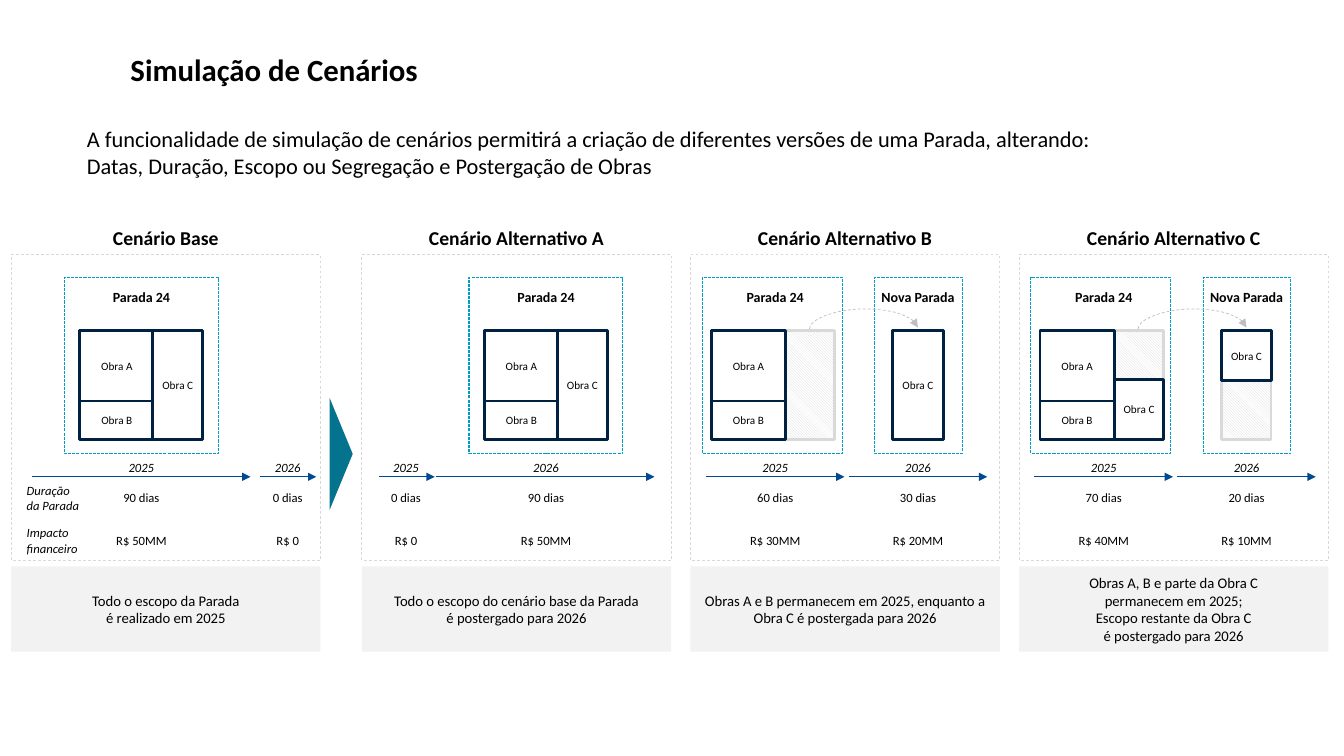
import pptx
import pptx.dml.color
import pptx.enum.dml
import pptx.enum.shapes
import pptx.enum.text
import pptx.oxml.ns
import pptx.util
from lxml import etree

Pt = pptx.util.Pt
qn = pptx.oxml.ns.qn
Shape = pptx.enum.shapes.MSO_SHAPE
Link = pptx.enum.shapes.MSO_CONNECTOR
Dash = pptx.enum.dml.MSO_LINE
Hatch = pptx.enum.dml.MSO_PATTERN.DARK_DOWNWARD_DIAGONAL
Align = pptx.enum.text.PP_ALIGN
Anchor = pptx.enum.text.MSO_ANCHOR

NAVY, BLUE, TEAL, CYAN = "002142", "004A94", "03738E", "009DC3"
WHITE, BLACK, PALE, GREY, SMOKE = "FFFFFF", "000000", "F2F2F2", "D9D9D9", "BFBFBF"


def tint(code):
    return pptx.dml.color.RGBColor.from_string(code)


def write(shape, text, size, align=Align.CENTER, bold=False, slant=False, side=7.2, anchor=Anchor.MIDDLE):
    frame = shape.text_frame
    frame.word_wrap = True
    frame.vertical_anchor = anchor
    frame.margin_left = frame.margin_right = Pt(side)
    frame.text = text
    for para in frame.paragraphs:
        para.alignment = align
        font = para.font
        font.name, font.size = "Calibri", Pt(size)
        font.bold, font.italic = bold, slant
        font.color.rgb = tint(BLACK)


def label(slide, x, y, w, h, text, size, **style):
    box = slide.shapes.add_textbox(Pt(x), Pt(y), Pt(w), Pt(h))
    write(box, text, size, **style)


def block(slide, x, y, w, h, fill=None, line=None, width=1, dash=None, kind=Shape.RECTANGLE):
    shape = slide.shapes.add_shape(kind, Pt(x), Pt(y), Pt(w), Pt(h))
    shape.shadow.inherit = False
    if fill:
        shape.fill.solid()
        shape.fill.fore_color.rgb = tint(fill)
    else:
        shape.fill.background()
    if line:
        shape.line.color.rgb = tint(line)
        shape.line.width = Pt(width)
        shape.line.dash_style = dash
    else:
        shape.line.fill.background()
    return shape


def arrow(slide, kind, x1, y1, x2, y2, color, width):
    link = slide.shapes.add_connector(kind, Pt(x1), Pt(y1), Pt(x2), Pt(y2))
    link.line.color.rgb = tint(color)
    link.line.width = Pt(width)
    etree.SubElement(link.line._get_or_add_ln(), qn("a:tailEnd"), type="triangle")
    etree.SubElement(link._element.spPr, qn("a:effectLst"))
    return link


def arc(slide, x1, x2, y, rise):
    mid, half = (x1 + x2) / 2, (x2 - x1) / 2
    link = arrow(slide, Link.CURVE, mid + 0.5, y + half, mid - 0.5, y - half, SMOKE, 0.5)
    link.line.dash_style = Dash.DASH
    props = link._element.spPr
    props.find(qn("a:xfrm")).set("rot", "5400000")
    guides = props.find(qn("a:prstGeom")).find(qn("a:avLst"))
    etree.SubElement(guides, qn("a:gd"), name="adj1", fmla=f"val {rise * 100000}")


def work(slide, x, y, w, h, name):
    write(block(slide, x, y, w, h, WHITE, NAVY, 2), f"Obra {name}", 8, side=0)


def ghost(slide, x, y, w, h):
    shape = block(slide, x, y, w, h, WHITE, GREY, 2)
    shape.fill.patterned()
    shape.fill.pattern = Hatch
    shape.fill.fore_color.rgb = tint(GREY)
    shape.fill.back_color.rgb = tint(WHITE)


def stop(slide, x, y, w, mid, name):
    block(slide, x, y, w, 126, line=CYAN, width=0.75, dash=Dash.SQUARE_DOT)
    label(slide, mid - 31, y + 4, 62, 20, name, 10, bold=True, side=0)


def pair(slide, x, y):
    work(slide, x, y, 53, 50.5, "A")
    work(slide, x, y + 50.5, 53, 27.5, "B")


def whole(slide, x, y, mid):
    stop(slide, x + mid - 55, y + 16, 110, x + mid, "Parada 24")
    pair(slide, x + mid - 44, y + 54)
    work(slide, x + mid + 8, y + 54, 36, 78, "C")


def split(slide, x, y, kept):
    """Draws the two stops, with the kept height of Obra C in the first."""
    top = y + 54
    stop(slide, x + 8.5, y + 16, 100, x + 60.5, "Parada 24")
    stop(slide, x + 131.5, y + 16, 62.5, x + 162.5, "Nova Parada")
    ghost(slide, x + 67, top, 36, kept or 78)
    arc(slide, x + 85, x + 162.5, y + 52.5, 14.4)
    pair(slide, x + 15, top)
    if kept:
        work(slide, x + 68, top + 35, 35.5, kept, "C")
        ghost(slide, x + 144.5, top + 35, 35.5, kept)
    work(slide, x + 144.5, top, 36, 36 if kept else 78, "C")


def span(slide, x, y, start, size, mid, year, days, cost):
    arrow(slide, Link.STRAIGHT, x + start, y + 158.6, x + start + size, y + 158.6, BLUE, 0.75)
    for drop, text, slant in ((142.7, year, True), (164.5, days, False), (194.7, cost, False)):
        label(slide, x + mid - 24, y + drop, 48, 18, text, 9, slant=slant, side=0)


def panel(slide, x, y, w, h, name, note, spans):
    block(slide, x, y, w, h, WHITE, GREY, 0.5, Dash.DASH)
    label(slide, x, y - 24, w, 24, name, 14, bold=True)
    write(block(slide, x, y + h + 4.6, w, 61, PALE), note, 10.5)
    for part in spans:
        span(slide, x, y, *part)


def intro(slide, x, y, w):
    title = slide.shapes.title
    title.left, title.top, title.width, title.height = Pt(x + 31), Pt(y), Pt(w - 24), Pt(51)
    write(title, "Simulação de Cenários", 22, Align.LEFT, bold=True)
    text = ("A funcionalidade de simulação de cenários permitirá a criação de diferentes versões "
            "de uma Parada, alterando:\vDatas, Duração, Escopo ou Segregação e Postergação de Obras")
    label(slide, x, y + 59, w, 51, text, 16, align=Align.LEFT)


def cases(slide, x, y, w, h):
    first, gap = x + 250.5, 234.7
    left, right = (11, 99, 60.5), (113, 99, 162.5)
    panel(slide, x, y, w, h, "Cenário Base", "Todo o escopo da Parada\né realizado em 2025", [
        (15, 156, 93, "2025", "90 dias", "R$ 50MM"),
        (178, 40, 197.5, "2026", "0 dias", "R$ 0")])
    whole(slide, x, y, 93)
    for drop, text in ((159, "Duração da Parada"), (189.5, "Impacto financeiro")):
        label(slide, x + 4, y + drop, 55.5, 29, text, 9, align=Align.LEFT, slant=True)

    panel(slide, first, y, w, h, "Cenário Alternativo A",
          "Todo o escopo do cenário base da Parada\né postergado para 2026", [
              (12, 40, 31.5, "2025", "0 dias", "R$ 0"),
              (53, 156, 131.5, "2026", "90 dias", "R$ 50MM")])
    whole(slide, first, y, 131.5)

    panel(slide, first + gap, y, w, h, "Cenário Alternativo B",
          "Obras A e B permanecem em 2025, enquanto a Obra C é postergada para 2026", [
              (*left, "2025", "60 dias", "R$ 30MM"),
              (*right, "2026", "30 dias", "R$ 20MM")])
    split(slide, first + gap, y, 0)

    panel(slide, first + 2 * gap, y, w, h, "Cenário Alternativo C",
          "Obras A, B e parte da Obra C\npermanecem em 2025;\n"
          "Escopo restante da Obra C\né postergado para 2026", [
              (*left, "2025", "70 dias", "R$ 40MM"),
              (*right, "2026", "20 dias", "R$ 10MM")])
    split(slide, first + 2 * gap, y, 43)

    wedge = block(slide, x + 195.7, y + 134, 80, 16.5, TEAL, kind=Shape.ISOSCELES_TRIANGLE)
    wedge.rotation = 90


def main():
    deck = pptx.Presentation()
    deck.slide_width, deck.slide_height = Pt(960), Pt(540)
    slide = deck.slides.add_slide(deck.slide_layouts[5])
    intro(slide, 55, 24, 850)
    cases(slide, 8, 182, 221, 218)
    deck.save("out.pptx")


if __name__ == "__main__":
    main()
